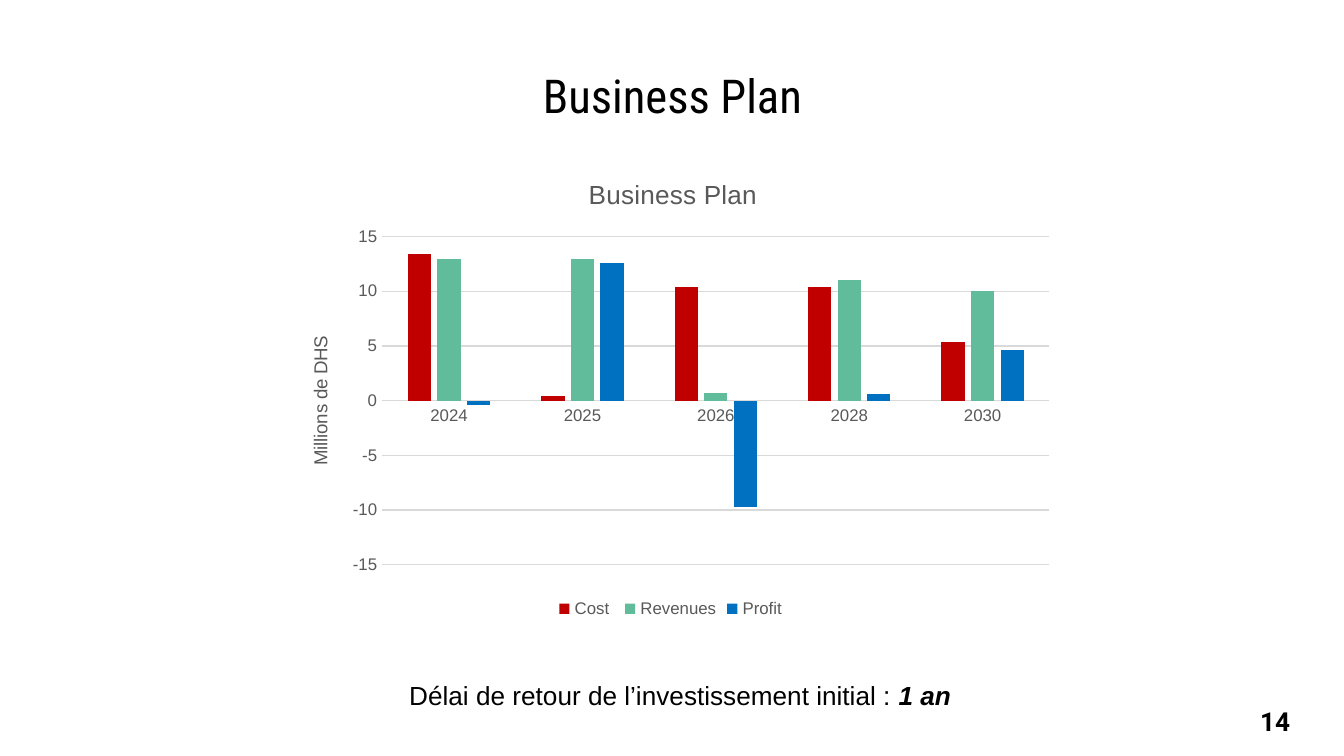
"""Build the business plan slide with its clustered column chart."""
from pptx import Presentation, util as u
from pptx.chart.data import CategoryChartData
from pptx.dml.color import RGBColor
from pptx.enum import chart as charts, text

BLACK = RGBColor(0x00, 0x00, 0x00)
GRAY = RGBColor(0x59, 0x59, 0x59)
GRID = RGBColor(0xD9, 0xD9, 0xD9)
RED = RGBColor(0xC0, 0x00, 0x00)
GREEN = RGBColor(0x61, 0xBC, 0x9B)
BLUE = RGBColor(0x00, 0x70, 0xC0)

TITLE = "Business Plan"
AXIS_TITLE = "Millions de DHS"
YEARS = ["2024", "2025", "2026", "2028", "2030"]
SERIES = [
    ("Cost ", RED, (13.4, 0.4, 10.4, 10.4, 5.4)),
    ("Revenues", GREEN, (13, 13, 0.7, 11, 10)),
    ("Profit ", BLUE, (-0.4, 12.6, -9.7, 0.6, 4.6)),
]
PAYBACK = [("Délai de retour de l’investissement initial : ", False), ("1 an", True)]

SLIDE_SIZE = (1344, 756)
TITLE_BOX = (67, 60, 1211, 70)
NUMBER_BOX = (1247, 699, 66, 46)
CHART_BOX = (281, 156, 784, 468)
PAYBACK_BOX = (396, 673, 574, 46)
EMU_PER_PX = 914400 / 134.4


def px(*lengths):
    return [u.Emu(round(length * EMU_PER_PX)) for length in lengths]


def style_font(font, size, color=GRAY, name="Arial", bold=False, italic=False):
    font.size, font.name, font.bold, font.italic = u.Pt(size), name, bold, italic
    font.color.rgb = color


def add_text(slide, box, runs, size=14, name="Arial", bold=False, centered=False):
    frame = slide.shapes.add_textbox(*px(*box)).text_frame
    frame.word_wrap = True
    paragraph = frame.paragraphs[0]
    if centered:
        frame.vertical_anchor = text.MSO_ANCHOR.MIDDLE
        frame.margin_left = frame.margin_right = 0
        frame.margin_top = frame.margin_bottom = 0
        paragraph.alignment = text.PP_ALIGN.CENTER
    else:
        frame.auto_size = text.MSO_AUTO_SIZE.SHAPE_TO_FIT_TEXT
    for words, emphasis in runs:
        run = paragraph.add_run()
        run.text = words
        style_font(run.font, size, BLACK, name, bold or emphasis, emphasis)


def set_title(owner, words, size):
    owner.has_title = True
    title = owner.chart_title if hasattr(owner, "chart_title") else owner.axis_title
    title.text_frame.text = words
    style_font(title.text_frame.paragraphs[0].runs[0].font, size)


def style_line(line):
    line.color.rgb = GRID
    line.width = u.Pt(0.75)


def add_plan_chart(slide):
    data = CategoryChartData()
    data.categories = YEARS
    for name, _, values in SERIES:
        data.add_series(name, values)
    chart = slide.shapes.add_chart(
        charts.XL_CHART_TYPE.COLUMN_CLUSTERED, *px(*CHART_BOX), data).chart
    style_font(chart.font, 10, BLACK)
    chart.has_title = True
    chart.chart_title.include_in_layout = False
    set_title(chart, TITLE, 14)

    plot = chart.plots[0]
    plot.gap_width, plot.overlap, plot.vary_by_categories = 219, -27, False
    for series, (_, color, _) in zip(plot.series, SERIES):
        series.format.fill.solid()
        series.format.fill.fore_color.rgb = color
        series.invert_if_negative = False

    for axis in (chart.category_axis, chart.value_axis):
        axis.major_tick_mark = axis.minor_tick_mark = charts.XL_TICK_MARK.NONE
        style_font(axis.tick_labels.font, 9)
    style_line(chart.category_axis.format.line)
    values = chart.value_axis
    values.format.line.fill.background()
    values.minimum_scale, values.maximum_scale, values.major_unit = -15, 15, 5
    values.has_major_gridlines = True
    style_line(values.major_gridlines.format.line)
    set_title(values, AXIS_TITLE, 10)

    chart.has_legend = True
    chart.legend.position = charts.XL_LEGEND_POSITION.BOTTOM
    chart.legend.include_in_layout = False
    style_font(chart.legend.font, 9)


def main():
    presentation = Presentation()
    presentation.slide_width, presentation.slide_height = px(*SLIDE_SIZE)
    slide = presentation.slides.add_slide(presentation.slide_layouts[6])
    add_text(slide, TITLE_BOX, [(TITLE, False)], size=25, name="Roboto Condensed", centered=True)
    add_text(slide, NUMBER_BOX, [("14", False)], name="Roboto", bold=True)
    add_plan_chart(slide)
    add_text(slide, PAYBACK_BOX, PAYBACK)
    presentation.save("out.pptx")


if __name__ == "__main__":
    main()
